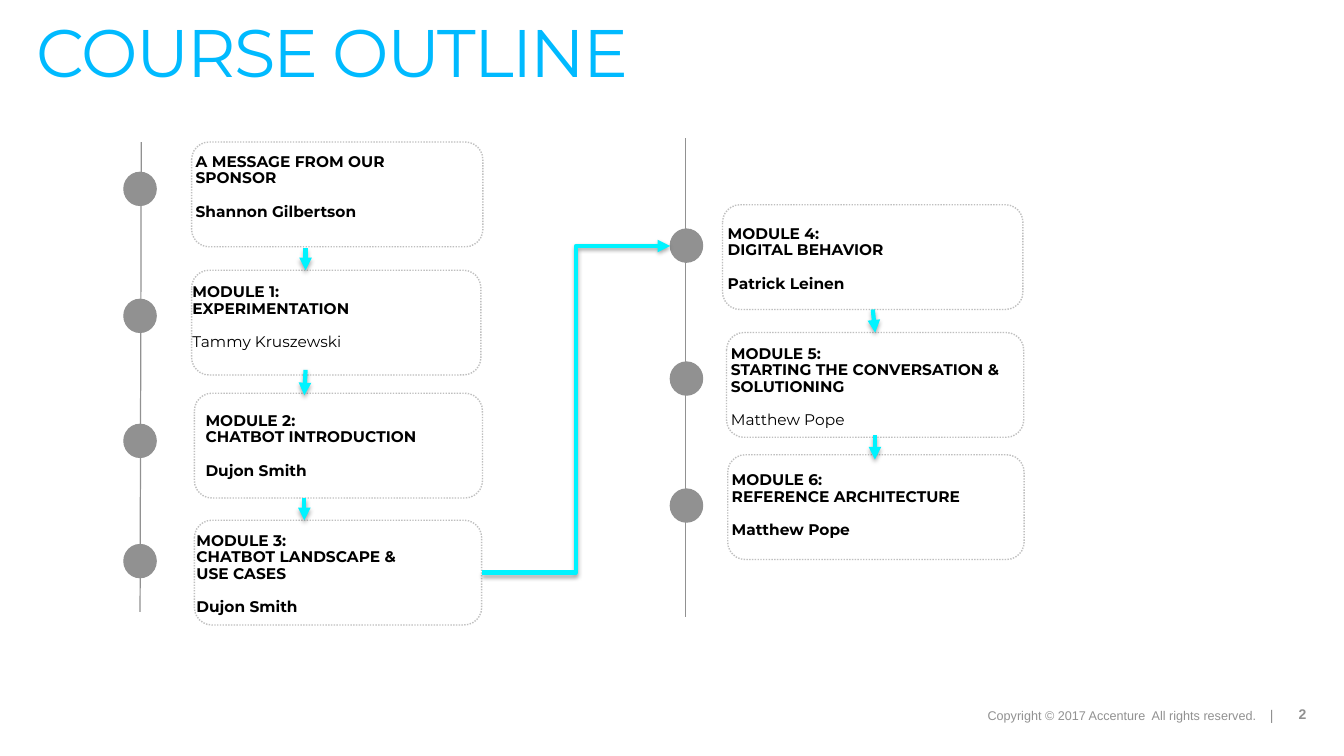
from lxml import etree
from pptx import Presentation
from pptx import util as u
from pptx.dml.color import RGBColor
from pptx.enum import dml, shapes, text
from pptx.oxml import ns

INK = {"title": "00BAFF", "grey": "919191", "edge": "BFBFBF",
       "arrow": "00F3FF", "black": "000000"}
HIGH = 2.64  # height of every card
DOT = (0.82, 0.84)

# card (left, top, width), text (left, top, width, height), heading, speaker, bold speaker
CARDS = [
    ((4.83, 3.58, 7.34), (4.93, 3.96, 8.13, 1.52),
     ["A MESSAGE FROM OUR", "SPONSOR"], "Shannon Gilbertson", True),
    ((4.83, 6.81, 7.29), (4.85, 6.86, 6.91, 2.29),
     ["MODULE 1:", "EXPERIMENTATION"], "Tammy Kruszewski", False),
    ((4.9, 9.91, 7.26), (5.18, 10.26, 7.54, 1.96),
     ["MODULE 2:", "CHATBOT INTRODUCTION"], "Dujon Smith", True),
    ((4.9, 13.11, 7.24), (4.95, 13.44, 8.03, 2.08),
     ["MODULE 3:", "CHATBOT LANDSCAPE &", "USE CASES"], "Dujon Smith", True),
    ((18.21, 5.16, 7.57), (18.34, 5.49, 6.02, 2.08),
     ["MODULE 4:", "DIGITAL BEHAVIOR"], "Patrick Leinen", True),
    ((18.31, 8.38, 7.49), (18.42, 8.81, 6.91, 1.91),
     ["MODULE 5:", "STARTING THE CONVERSATION & SOLUTIONING"], "Matthew Pope", False),
    ((18.34, 11.46, 7.47), (18.44, 11.76, 6.91, 1.96),
     ["MODULE 6:", "REFERENCE ARCHITECTURE"], "Matthew Pope", True),
]
# rail ends, left of the dots, tops of the dots
RAILS = [
    ((3.56, 3.58, 3.53, 15.42), 3.12, [4.34, 7.54, 10.69, 13.72]),
    ((17.27, 3.48, 17.27, 15.54), 16.89, [5.77, 9.12, 12.32]),
]
DROPS = [(7.7, 6.25, 7.7, 6.81), (7.7, 9.32, 7.67, 9.96),
         (7.67, 12.55, 7.67, 13.11), (22.05, 10.97, 22.05, 11.58)]


def hue(name):
    return RGBColor.from_string(INK[name])


def cms(spots):
    return [u.Cm(spot) for spot in spots]


def add_text(slide, spot, anchor=text.MSO_ANCHOR.TOP):
    """Add a wrapping text box without margins and return its frame."""
    frame = slide.shapes.add_textbox(*cms(spot)).text_frame
    frame.word_wrap = True
    frame.vertical_anchor = anchor
    frame.margin_left = frame.margin_right = 0
    frame.margin_top = frame.margin_bottom = 0
    return frame


def style(para, size, ink, face="Montserrat", bold=False):
    font = para.font
    font.name, font.size, font.bold = face, u.Pt(size), bold
    font.color.rgb = hue(ink)


def add_line(slide, ends, ink, width, kind=shapes.MSO_CONNECTOR.STRAIGHT):
    """Add a connector and return it with its empty effect list."""
    line = slide.shapes.add_connector(kind, *cms(ends))
    line.line.color.rgb = hue(ink)
    line.line.width = u.Pt(width)
    glow = etree.SubElement(line._element.spPr, ns.qn("a:effectLst"))
    return line, glow


def add_arrow(slide, ends, kind=shapes.MSO_CONNECTOR.STRAIGHT):
    """Add a thick arrow with a soft shadow below it."""
    arrow, glow = add_line(slide, ends, "arrow", 3, kind)
    stroke = arrow.line._get_or_add_ln()
    etree.SubElement(stroke, ns.qn("a:tailEnd"), type="triangle")
    shade = etree.SubElement(glow, ns.qn("a:outerShdw"), blurRad="40000",
                             dist="23000", dir="5400000", rotWithShape="0")
    tone = etree.SubElement(shade, ns.qn("a:srgbClr"), val=INK["black"])
    etree.SubElement(tone, ns.qn("a:alpha"), val="35000")
    return arrow


def add_dot(slide, left, top):
    dot = slide.shapes.add_shape(shapes.MSO_SHAPE.OVAL, *cms((left, top, *DOT)))
    dot.shadow.inherit = False
    dot.fill.solid()
    dot.fill.fore_color.rgb = hue("grey")
    dot.line.color.rgb = hue("grey")
    dot.line.width = u.Pt(0.75)


def add_card(slide, place, spot, heads, name, bold):
    """Add a dotted card with its heading and speaker; return the card."""
    card = slide.shapes.add_shape(shapes.MSO_SHAPE.ROUNDED_RECTANGLE,
                                  *cms((*place, HIGH)))
    card.shadow.inherit = False
    card.fill.background()
    card.line.color.rgb = hue("edge")
    card.line.width = u.Pt(1)
    card.line.dash_style = dml.MSO_LINE.ROUND_DOT
    frame = add_text(slide, spot, text.MSO_ANCHOR.MIDDLE)
    frame.text = "\n".join([*heads, name])
    for para in frame.paragraphs:
        para.line_spacing = 0.9
        style(para, 11, "black", bold=True)
    para.space_before = u.Pt(12)
    para.font.bold = bold
    return card


def add_title(slide):
    para = add_text(slide, (0.91, 0.66, 27.86, 2.16)).paragraphs[0]
    para.line_spacing = 0.8
    run = para.add_run()
    run.text = "COURSE OUTLINE"
    run._r.get_or_add_rPr().set("spc", "-130")
    style(para, 48, "title")


def add_foot(slide):
    para = add_text(slide, (24.89, 17.81, 7.57, 0.84)).paragraphs[0]
    tabs = etree.SubElement(para._p.get_or_add_pPr(), ns.qn("a:tabLst"))
    etree.SubElement(tabs, ns.qn("a:tab"), pos=str(u.Cm(7.11)), algn="l")
    para.add_run().text = "Copyright © 2017 Accenture  All rights reserved."
    bar = para.add_run()
    bar.text = "\t|"
    bar.font.size = u.Pt(10)
    style(para, 9, "grey", "Arial")

    page = add_text(slide, (31.98, 17.73, 0.94, 0.53), text.MSO_ANCHOR.MIDDLE)
    page.text = "2"
    para = page.paragraphs[0]
    para.alignment = text.PP_ALIGN.RIGHT
    style(para, 10, "grey", "Arial", True)


def main():
    deck = Presentation()
    deck.slide_width, deck.slide_height = cms((33.87, 19.05))
    slide = deck.slides.add_slide(deck.slide_layouts[6])
    add_foot(slide)
    add_title(slide)
    for ends, left, tops in RAILS:
        add_line(slide, ends, "grey", 0.88)
        for top in tops:
            add_dot(slide, left, top)
    cards = [add_card(slide, *card) for card in CARDS]
    for ends in DROPS:
        add_arrow(slide, ends)
    drop = add_arrow(slide, (22, 7.8, 22.05, 8.38))
    drop.begin_connect(cards[4], 2)
    drop.end_connect(cards[5], 0)
    bend = add_arrow(slide, (12.14, 14.43, 16.89, 6.2), shapes.MSO_CONNECTOR.ELBOW)
    bend.begin_connect(cards[3], 3)
    deck.save("out.pptx")


if __name__ == "__main__":
    main()
